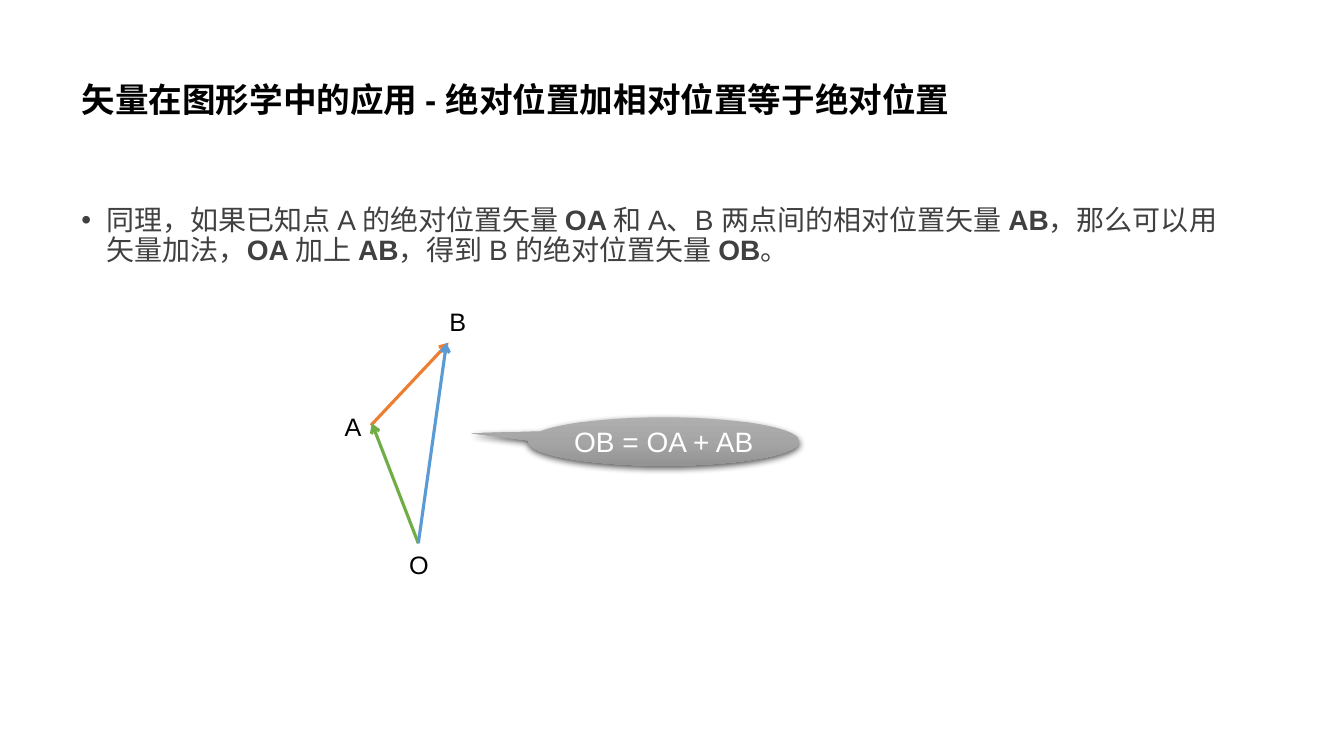
"""Build a slide showing that OB = OA + AB."""
import copy

import pptx
import pptx.dml.color
import pptx.enum.dml
import pptx.enum.shapes
import pptx.enum.text
import pptx.oxml
import pptx.oxml.ns
import pptx.util

RGBColor = pptx.dml.color.RGBColor
BLACK = RGBColor(0x00, 0x00, 0x00)
WHITE = RGBColor(0xFF, 0xFF, 0xFF)
BODY_GREY = RGBColor(0x40, 0x40, 0x40)
ORANGE = RGBColor(0xED, 0x7D, 0x31)
GREEN = RGBColor(0x70, 0xAD, 0x47)
BLUE = RGBColor(0x5B, 0x9B, 0xD5)
CALLOUT_STOPS = (
    (0, RGBColor(0xAF, 0xAF, 0xAF)),
    (0.5, RGBColor(0xA5, 0xA5, 0xA5)),
    (1, RGBColor(0x93, 0x93, 0x93)),
)

COLUMNS, ROWS = 40, 22.5
CELL = pptx.util.Inches(1) / 3
ANCHOR = pptx.enum.text.MSO_ANCHOR
AUTO_SIZE = pptx.enum.text.MSO_AUTO_SIZE

TITLE = "矢量在图形学中的应用 - 绝对位置加相对位置等于绝对位置"
EXPLANATION = (
    "同理，如果已知点 A 的绝对位置矢量 ", "OA ", "和 A、B 两点间的相对位置矢量 ", "AB",
    "，那么可以用矢量加法，", "OA ", "加上 ", "AB", "，得到 B 的绝对位置矢量 ", "OB", "。",
)
VECTORS = (
    ((11.04, 12.66), (13.35, 10.2), ORANGE),
    ((12.45, 16.17), (11.07, 12.6), GREEN),
    ((12.45, 16.17), (13.29, 10.2), BLUE),
)
POINTS = (
    ("A", (9.96, 12.09, 1.11, 1.2)),
    ("B", (13.08, 8.97, 1.11, 1.2)),
    ("O", (11.88, 16.2, 1.17, 1.2)),
)


def cells(*counts):
    """Convert grid cells to slide lengths."""
    return [pptx.util.Emu(round(count * CELL)) for count in counts]


def apply(target, values):
    """Set each named attribute on the target."""
    for name, value in values.items():
        setattr(target, name, value)


def append_xml(parent, tag, attributes="", content=""):
    """Append a drawing element to the parent."""
    namespace = pptx.oxml.ns.nsdecls("a")
    parent.append(pptx.oxml.parse_xml(f"<a:{tag} {namespace} {attributes}>{content}</a:{tag}>"))


def write(paragraph, wording, size, color, bold=False):
    """Add one formatted run."""
    run = paragraph.add_run()
    run.text = wording
    apply(run.font, {"name": "Arial", "size": pptx.util.Pt(size), "bold": bold})
    run.font.color.rgb = color


def add_text_area(slide, area, **frame_format):
    """Add a text box and return its first paragraph."""
    frame = slide.shapes.add_textbox(*cells(*area)).text_frame
    apply(frame, frame_format)
    return frame.paragraphs[0]


def add_title(slide):
    """Add the slide heading."""
    heading = add_text_area(slide, (2.13, 0.84, 34.5, 4.35),
                            word_wrap=True, vertical_anchor=ANCHOR.MIDDLE)
    heading.line_spacing = 0.9
    write(heading, TITLE, 24, BLACK, True)


def add_explanation(slide):
    """Add the bullet, with every second phrase a bold vector name."""
    bullet = add_text_area(slide, (2.13, 6, 34.5, 14.28), word_wrap=True)
    bullet.line_spacing = 0.9
    properties = bullet._p.get_or_add_pPr()
    indent = pptx.util.Inches(0.25)
    properties.set("marL", str(indent))
    properties.set("indent", str(-indent))
    append_xml(properties, "buFont", 'typeface="Arial"')
    append_xml(properties, "buChar", 'char="•"')
    for position, phrase in enumerate(EXPLANATION):
        write(bullet, phrase, 20, BODY_GREY, position % 2 == 1)


def add_vector(slide, start, end, color):
    """Add an arrow between two grid points."""
    vector = slide.shapes.add_connector(
        pptx.enum.shapes.MSO_CONNECTOR.STRAIGHT, *cells(*start, *end))
    vector.line.width = pptx.util.Pt(2.25)
    vector.line.color.rgb = color
    append_xml(vector.line._get_or_add_ln(), "tailEnd", 'type="arrow"')
    append_xml(vector._element.spPr, "effectLst")


def add_point(slide, letter, area):
    """Add the letter naming a point."""
    label = add_text_area(slide, area, word_wrap=False,
                          auto_size=AUTO_SIZE.SHAPE_TO_FIT_TEXT)
    write(label, letter, 18, BLACK)


def add_equation(slide):
    """Add the callout with the vector sum."""
    callout = slide.shapes.add_shape(
        pptx.enum.shapes.MSO_SHAPE.OVAL_CALLOUT, *cells(15.72, 12.42, 8.07, 1.44))
    callout.adjustments[0], callout.adjustments[1] = -0.71, -0.17
    callout.line.fill.background()
    callout.fill.gradient()
    callout.fill.gradient_angle = 270
    properties = callout._element.spPr
    stops = properties.find(".//" + pptx.oxml.ns.qn("a:gsLst"))
    stops.insert(1, copy.deepcopy(stops[0]))
    for stop, (position, color) in zip(callout.fill.gradient_stops, CALLOUT_STOPS):
        stop.position = position
        stop.color.rgb = color
    append_xml(properties, "effectLst", content=(
        '<a:outerShdw blurRad="57150" dist="19050" dir="5400000" algn="ctr" rotWithShape="0">'
        '<a:srgbClr val="000000"><a:alpha val="63000"/></a:srgbClr></a:outerShdw>'))
    frame = callout.text_frame
    apply(frame, {
        "margin_left": 0, "margin_right": 0, "margin_top": 0, "margin_bottom": 0,
        "word_wrap": True, "vertical_anchor": ANCHOR.MIDDLE,
        "auto_size": AUTO_SIZE.SHAPE_TO_FIT_TEXT,
    })
    equation = frame.paragraphs[0]
    equation.alignment = pptx.enum.text.PP_ALIGN.CENTER
    write(equation, "OB = OA + AB", 20, WHITE)


def main():
    """Build and save the slide."""
    deck = pptx.Presentation()
    deck.slide_width, deck.slide_height = cells(COLUMNS, ROWS)
    slide = deck.slides.add_slide(deck.slide_layouts[6])
    add_title(slide)
    add_explanation(slide)
    for start, end, color in VECTORS:
        add_vector(slide, start, end, color)
    for letter, area in POINTS:
        add_point(slide, letter, area)
    add_equation(slide)
    deck.save("out.pptx")


if __name__ == "__main__":
    main()
